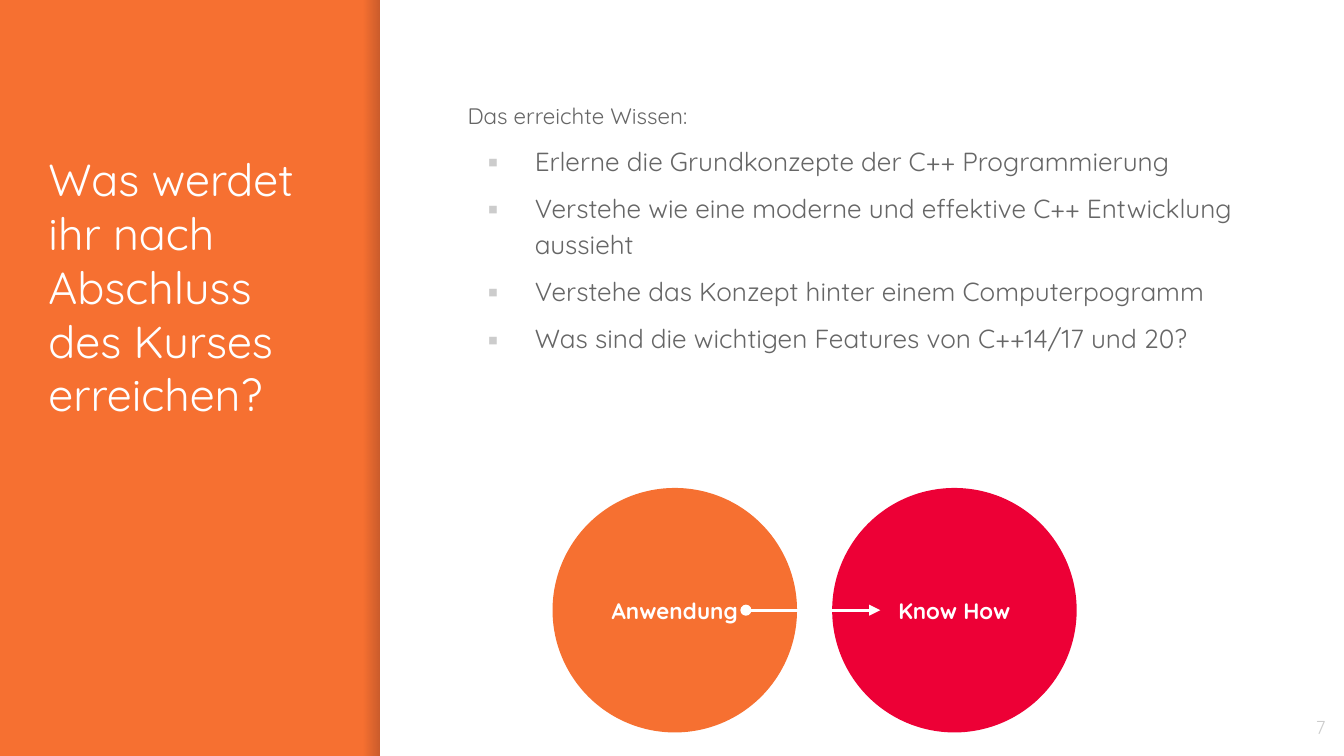
from dataclasses import dataclass

from lxml import etree
from pptx import Presentation
from pptx.dml.color import RGBColor
from pptx.enum.shapes import MSO_CONNECTOR, MSO_SHAPE
from pptx.enum.text import MSO_ANCHOR, PP_ALIGN
from pptx.oxml.ns import qn
from pptx.util import Pt

RECTANGLE, OVAL = MSO_SHAPE.RECTANGLE, MSO_SHAPE.OVAL
STRAIGHT = MSO_CONNECTOR.STRAIGHT
TOP, MIDDLE = MSO_ANCHOR.TOP, MSO_ANCHOR.MIDDLE
LEFT, CENTER, RIGHT = PP_ALIGN.LEFT, PP_ALIGN.CENTER, PP_ALIGN.RIGHT


@dataclass(frozen=True)
class Theme:
    font: str = "Quicksand"
    orange: str = "F67031"
    red: str = "ED0036"
    white: str = "FFFFFF"
    text: str = "666666"
    muted: str = "CCCCCC"
    shade: str = "000014"
    title: int = 24
    bullet: int = 14
    body: int = 12
    number: int = 10


theme = Theme()


def setup_frame(shape, anchor):
    frame = shape.text_frame
    frame.word_wrap = True
    frame.vertical_anchor = anchor
    frame.margin_left = frame.margin_right = Pt(7.2)
    frame.margin_top = frame.margin_bottom = Pt(7.2)
    return frame


def add_span(para, text, size, color, align=LEFT, bold=False):
    para.alignment = align
    span = para.add_run()
    span.text = text
    span.font.name = theme.font
    span.font.size = Pt(size)
    span.font.bold = bold
    span.font.color.rgb = RGBColor.from_string(color)


deck = Presentation()
deck.slide_width, deck.slide_height = Pt(720), Pt(405)
page = deck.slides.add_slide(deck.slide_layouts[6])
page.background.fill.solid()
page.background.fill.fore_color.rgb = RGBColor.from_string(theme.orange)
shapes = page.shapes

edge = shapes.add_shape(RECTANGLE, Pt(194.6), Pt(0), Pt(9), Pt(405))
edge.shadow.inherit = False
edge.line.fill.background()
edge.fill.gradient()
edge.fill.gradient_angle = 0
for stop, alpha in zip(edge.fill.gradient_stops, (0, 20000)):
    stop.color.rgb = RGBColor.from_string(theme.shade)
    stop_color = stop._gs.find(qn("a:srgbClr"))
    etree.SubElement(stop_color, qn("a:alpha"), val=str(alpha))

panel = shapes.add_shape(RECTANGLE, Pt(203.6), Pt(0), Pt(516.4), Pt(405))
panel.shadow.inherit = False
panel.line.fill.background()
panel.fill.solid()
panel.fill.fore_color.rgb = RGBColor.from_string(theme.white)

title_box = shapes.add_textbox(Pt(18.9), Pt(45.4), Pt(161.3), Pt(313.2))
title_frame = setup_frame(title_box, TOP)
title_frame.margin_top = Pt(36)
add_span(title_frame.paragraphs[0], "Was werdet ihr nach Abschluss des Kurses erreichen?",
         theme.title, theme.white)

goals_box = shapes.add_textbox(Pt(243.4), Pt(45.4), Pt(440.6), Pt(217.4))
goals_frame = setup_frame(goals_box, TOP)
intro = goals_frame.paragraphs[0]
intro.line_spacing, intro.space_before = 1.15, Pt(6)
add_span(intro, "Das erreichte Wissen:", theme.body, theme.text)
goals = (
    "Erlerne die Grundkonzepte der C++ Programmierung",
    "Verstehe wie eine moderne und effektive C++ Entwicklung aussieht",
    "Verstehe das Konzept hinter einem Computerpogramm",
    "Was sind die wichtigen Features von C++14/17 und 20?",
)
for goal in goals:
    para = goals_frame.add_paragraph()
    para.line_spacing, para.space_before = 1.15, Pt(6)
    add_span(para, goal, theme.bullet, theme.text)
    properties = para._p.get_or_add_pPr()
    properties.set("marL", str(Pt(36)))
    properties.set("indent", str(Pt(-25.2)))
    bullet_color = etree.SubElement(properties, qn("a:buClr"))
    etree.SubElement(bullet_color, qn("a:srgbClr"), val=theme.muted)
    etree.SubElement(properties, qn("a:buFont"), typeface=theme.font)
    etree.SubElement(properties, qn("a:buChar"), char="▪")

number_box = shapes.add_textbox(Pt(674), Pt(373.8), Pt(43.2), Pt(31))
number_frame = setup_frame(number_box, MIDDLE)
add_span(number_frame.paragraphs[0], "7", theme.number, theme.muted, RIGHT)

circles = (("Anwendung", 296, theme.orange), ("Know How", 445.8, theme.red))
for label, left, color in circles:
    circle = shapes.add_shape(OVAL, Pt(left), Pt(261.4), Pt(131), Pt(131))
    circle.shadow.inherit = False
    circle.line.fill.background()
    circle.fill.solid()
    circle.fill.fore_color.rgb = RGBColor.from_string(color)
    circle_frame = setup_frame(circle, MIDDLE)
    add_span(circle_frame.paragraphs[0], label, theme.body, theme.white, CENTER, True)

arrow = shapes.add_connector(STRAIGHT, Pt(399.6), Pt(326.9), Pt(471.6), Pt(326.9))
arrow.line.width = Pt(1.5)
arrow.line.color.rgb = RGBColor.from_string(theme.white)
outline = arrow.line._get_or_add_ln()
etree.SubElement(outline, qn("a:headEnd"), type="oval")
etree.SubElement(outline, qn("a:tailEnd"), type="triangle")
etree.SubElement(arrow._element.spPr, qn("a:effectLst"))

deck.save("out.pptx")
